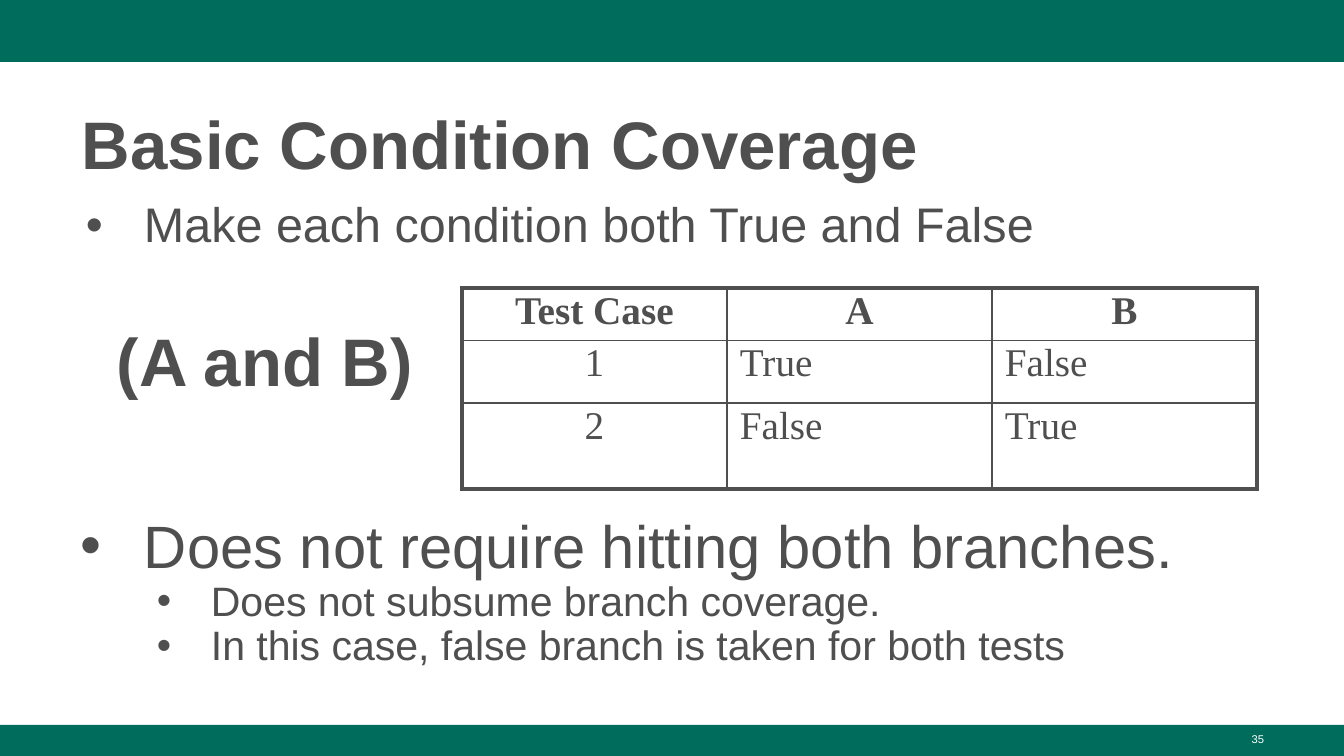
from lxml.etree import SubElement
from pptx import Presentation
from pptx.dml.color import RGBColor
from pptx.enum.shapes import MSO_SHAPE as Shape
from pptx.enum.text import MSO_ANCHOR as Anchor, PP_ALIGN as Align
from pptx.oxml import parse_xml
from pptx.oxml.ns import nsdecls, qn
from pptx.util import Emu, Pt

SCALE = 914400 / 134.4
GREEN, GRAY, WHITE = "006C5C", "4F4F4F", "FFFFFF"
THICK, THIN = 2.25, 1


def px(length):
    return Emu(round(length * SCALE))


def color(code):
    return RGBColor.from_string(code)


def write(para, text, size, font="Arial", ink=GRAY, bold=False,
          align=Align.LEFT, spacing=1.0, before=0):
    para.alignment, para.line_spacing = align, spacing
    para.space_before = Pt(before)
    span = para.add_run()
    span.text = text
    span.font.name, span.font.size, span.font.bold = font, Pt(size), bold
    span.font.color.rgb = color(ink)


def set_margins(target, left, top, right, bottom):
    target.margin_left, target.margin_top = px(left), px(top)
    target.margin_right, target.margin_bottom = px(right), px(bottom)


def add_text_frame(page, box, margins, anchor=Anchor.TOP):
    frame = page.shapes.add_textbox(*map(px, box)).text_frame
    frame.word_wrap = True
    frame.vertical_anchor = anchor
    set_margins(frame, *margins)
    return frame


def add_label(page, box, text, size, margins, anchor=Anchor.TOP, **style):
    frame = add_text_frame(page, box, margins, anchor)
    write(frame.paragraphs[0], text, size, **style)


def add_band(page, box):
    band = page.shapes.add_shape(Shape.RECTANGLE, *map(px, box))
    band.shadow.inherit = False
    band.fill.solid()
    band.fill.fore_color.rgb = color(GREEN)
    band.line.fill.background()


def set_bullet(para, indent, hanging):
    props = para._p.get_or_add_pPr()
    props.set("marL", str(px(indent)))
    props.set("indent", str(-px(hanging)))
    tint = SubElement(props, qn("a:buClr"))
    SubElement(tint, qn("a:srgbClr"), val=GRAY)
    SubElement(props, qn("a:buFont"), typeface="Arial")
    SubElement(props, qn("a:buChar"), char="•")


def add_bullets(page, box, items):
    frame = add_text_frame(page, box, (8, 13, 13, 7))
    for index, (text, size, level, indent, hanging, before) in enumerate(items):
        para = frame.add_paragraph() if index else frame.paragraphs[0]
        para.level = level
        write(para, text, size, spacing=0.9, before=before)
        set_bullet(para, indent, hanging)


def set_borders(cell, widths):
    props = cell._tc.get_or_add_tcPr()
    for index, (side, width) in enumerate(zip("LRTB", widths)):
        props.insert(index, parse_xml(
            f'<a:ln{side} {nsdecls("a")} w="{Pt(width)}"><a:solidFill>'
            f'<a:srgbClr val="{GRAY}"/></a:solidFill></a:ln{side}>'))


def add_case_table(page, box, rows, heights):
    last_row, last_col = len(rows) - 1, len(rows[0]) - 1
    table = page.shapes.add_table(len(rows), len(rows[0]), *map(px, box)).table
    table.first_row = table.horz_banding = False
    for column in table.columns:
        column.width = px(box[2] / len(rows[0]))
    for r, values in enumerate(rows):
        table.rows[r].height = px(heights[r])
        for c, value in enumerate(values):
            cell = table.cell(r, c)
            cell.fill.background()
            set_margins(cell, 13, 5, 13, 5)
            centered = r == 0 or c == 0
            write(cell.text_frame.paragraphs[0], value, 21,
                  font="Times New Roman", bold=r == 0, spacing=0.9,
                  align=Align.CENTER if centered else Align.LEFT)
            # Thick outer frame, thin inner lines
            outer = (c == 0, c == last_col, r == 0, r == last_row)
            set_borders(cell, [THICK if edge else THIN for edge in outer])


deck = Presentation()
deck.slide_width, deck.slide_height = px(1344), px(756)
page = deck.slides.add_slide(deck.slide_layouts[6])

# Header and footer bands
add_band(page, (0, 0, 1344, 62))
add_band(page, (0, 725, 1344, 31))

# Title
add_label(page, (69, 90, 1208, 98), "Basic Condition Coverage", 36,
          (13, 7, 7, 7), Anchor.MIDDLE, bold=True, spacing=1.08)

# Bullets, with a gap left for the table
add_bullets(page, (69, 188, 1208, 512), [
    ("Make each condition both True and False", 26, 0, 67, 58, 0),
    ("Does not require hitting both branches.", 32, 0, 67, 63, 141),
    ("Does not subsume branch coverage.", 22, 1, 134, 54, 0),
    ("In this case, false branch is taken for both tests", 22, 1, 134, 54, 0),
])

# Test cases and the condition they cover
add_case_table(page, (462, 288, 795, 200), [
    ("Test Case", "A", "B"),
    ("1", "True", "False"),
    ("2", "False", "True"),
], (51, 63, 86))
add_label(page, (104, 306, 345, 85), "(A and B)", 36, (13, 13, 13, 13),
          bold=True)

# Page number
add_label(page, (964, 726, 313, 30), "35", 6, (13, 7, 13, 7),
          ink=WHITE, align=Align.RIGHT)

deck.save("out.pptx")
